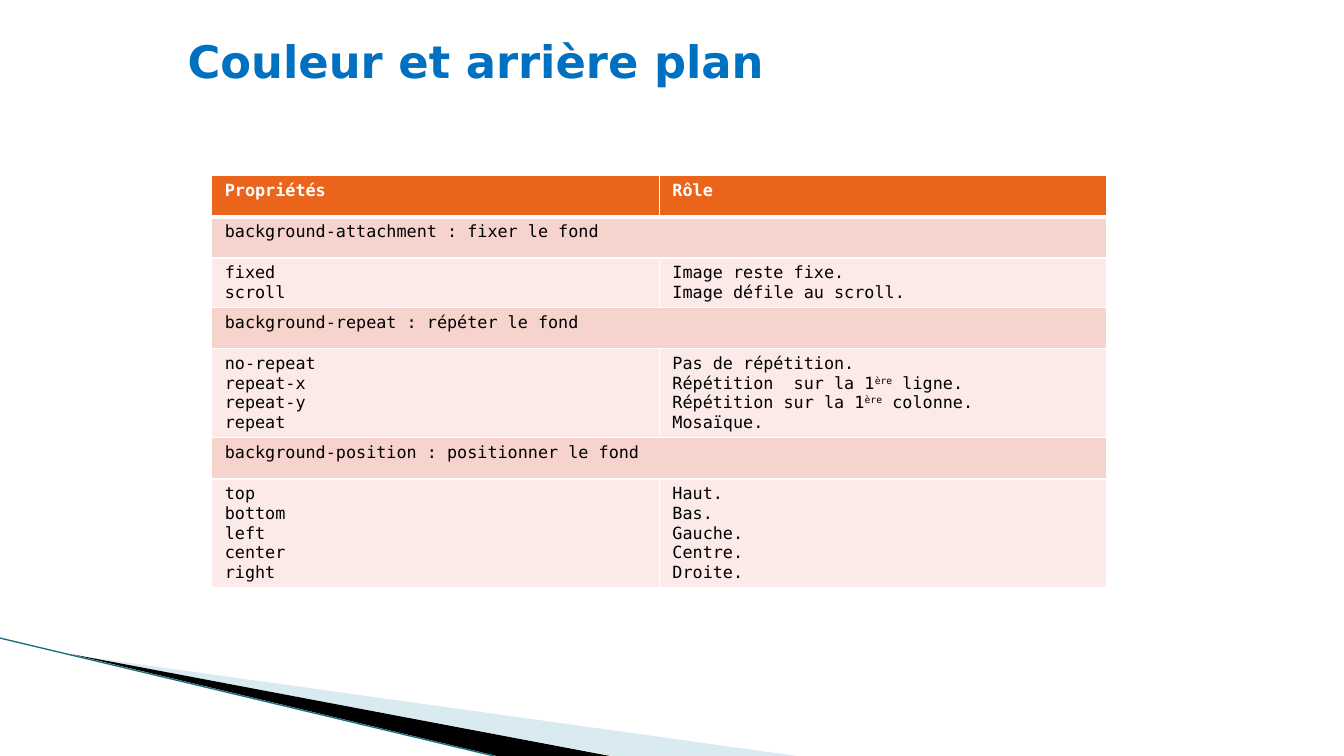
from lxml.etree import SubElement
from pptx import Presentation
from pptx.dml.color import RGBColor
from pptx.enum.text import MSO_ANCHOR, PP_ALIGN
from pptx.oxml.ns import qn
from pptx.util import Inches, Pt

COLORS = {
    "title": "0070C0",
    "header": "EB641B",
    "group": "F7D3CD",
    "detail": "FBEAE8",
    "white": "FFFFFF",
    "black": "000000",
    "pale": "A0CBDC",
    "teal": "17707F",
}

ROWS = [
    ("header", ["Propriétés"], ["Rôle"]),
    ("group", ["background-attachment : fixer le fond"], None),
    ("detail", ["fixed", "scroll"], ["Image reste fixe.", "Image défile au scroll."]),
    ("group", ["background-repeat : répéter le fond"], None),
    ("detail", ["no-repeat", "repeat-x", "repeat-y", "repeat"],
     ["Pas de répétition.", "Répétition  sur la 1^ère^ ligne.",
      "Répétition sur la 1^ère^ colonne.", "Mosaïque."]),
    ("group", ["background-position : positionner le fond"], None),
    ("detail", ["top", "bottom", "left", "center", "right"],
     ["Haut.", "Bas.", "Gauche.", "Centre.", "Droite."]),
]


def color(name):
    return RGBColor.from_string(COLORS[name])


def write(para, text, *, font, size, ink, bold=False, spacing=None):
    para.alignment = PP_ALIGN.LEFT
    if spacing:
        para.line_spacing = spacing
    for index, part in enumerate(text.split("^")):
        span = para.add_run()
        span.text = part
        span.font.name = font
        span.font.size = Pt(size)
        span.font.bold = bold
        span.font.color.rgb = color(ink)
        if index % 2:
            span.font._element.set("baseline", "30000")


class SlideBuilder:
    title_font = "DejaVu Sans"
    table_font = "DejaVu Sans Mono"

    def __init__(self, deck):
        self.page = deck.slides.add_slide(deck.slide_layouts[5])
        self.shapes = self.page.shapes

    def wedge(self, points, fill, opacity=100):
        start, *others = [(Inches(x), Inches(y)) for x, y in points]
        builder = self.shapes.build_freeform(*start)
        builder.add_line_segments(others, close=True)
        shape = builder.convert_to_shape()
        shape.shadow.inherit = False
        shape.fill.solid()
        shape.fill.fore_color.rgb = color(fill)
        shape.line.fill.background()
        if opacity < 100:
            tint = shape.element.spPr.find(qn("a:solidFill"))[0]
            SubElement(tint, qn("a:alpha"), val=str(opacity * 1000))

    def line(self, start, end, ink, width):
        ends = [Inches(value) for value in (*start, *end)]
        connector = self.shapes.add_connector(1, *ends)
        connector.line.color.rgb = color(ink)
        connector.line.width = Pt(width)
        SubElement(connector.element.spPr, qn("a:effectLst"))

    def title(self, text, left, top, width, height):
        box = self.shapes.title
        box.left, box.top = Inches(left), Inches(top)
        box.width, box.height = Inches(width), Inches(height)
        box.text_frame.vertical_anchor = MSO_ANCHOR.MIDDLE
        write(box.text_frame.paragraphs[0], text, font=self.title_font,
              size=32, ink="title", bold=True, spacing=0.9)
        self.shapes.element.append(box.element)

    def borders(self, cell, row):
        properties = cell._tc.get_or_add_tcPr()
        widths = {"lnL": 1, "lnR": 1, "lnT": 3 if row == 1 else 1, "lnB": 3 if row == 0 else 1}
        for side, width in widths.items():
            edge = SubElement(properties, qn(f"a:{side}"), w=str(Pt(width)))
            fill = SubElement(edge, qn("a:solidFill"))
            SubElement(fill, qn("a:srgbClr"), val=COLORS["white"])

    def cell(self, cell, row, kind, lines):
        cell.margin_left = cell.margin_right = Inches(0.13)
        cell.margin_top = cell.margin_bottom = Inches(0.05)
        self.borders(cell, row)
        cell.fill.solid()
        cell.fill.fore_color.rgb = color(kind)
        header = kind == "header"
        frame = cell.text_frame
        for index, text in enumerate(lines or []):
            para = frame.add_paragraph() if index else frame.paragraphs[0]
            write(para, text, font=self.table_font, size=12,
                  ink="white" if header else "black", bold=header)

    def table(self, rows, left, top, width, row_height):
        table = self.shapes.add_table(
            len(rows), 2, Inches(left), Inches(top),
            Inches(width), Inches(row_height * len(rows))).table
        table.horz_banding = False
        for row, (kind, *columns) in enumerate(rows):
            table.rows[row].height = Inches(row_height)
            for column, lines in enumerate(columns):
                self.cell(table.cell(row, column), row, kind, lines)
            if kind == "group":
                table.cell(row, 0).merge(table.cell(row, 1))


def main():
    deck = Presentation()
    deck.slide_width, deck.slide_height = Inches(13.33), Inches(7.5)
    builder = SlideBuilder(deck)
    builder.wedge([(0.73, 6.5), (7.9, 7.5), (6.08, 7.5)], "pale", opacity=40)
    builder.wedge([(0.71, 6.49), (6.05, 7.5), (4.93, 7.5)], "black")
    builder.line((0, 6.33), (4.9, 7.5), "teal", 0.95)
    builder.table(ROWS, 2.1, 1.74, 8.88, 0.41)
    builder.title("Couleur et arrière plan", 1.76, 0.16, 11.05, 0.95)
    deck.save("out.pptx")


if __name__ == "__main__":
    main()
